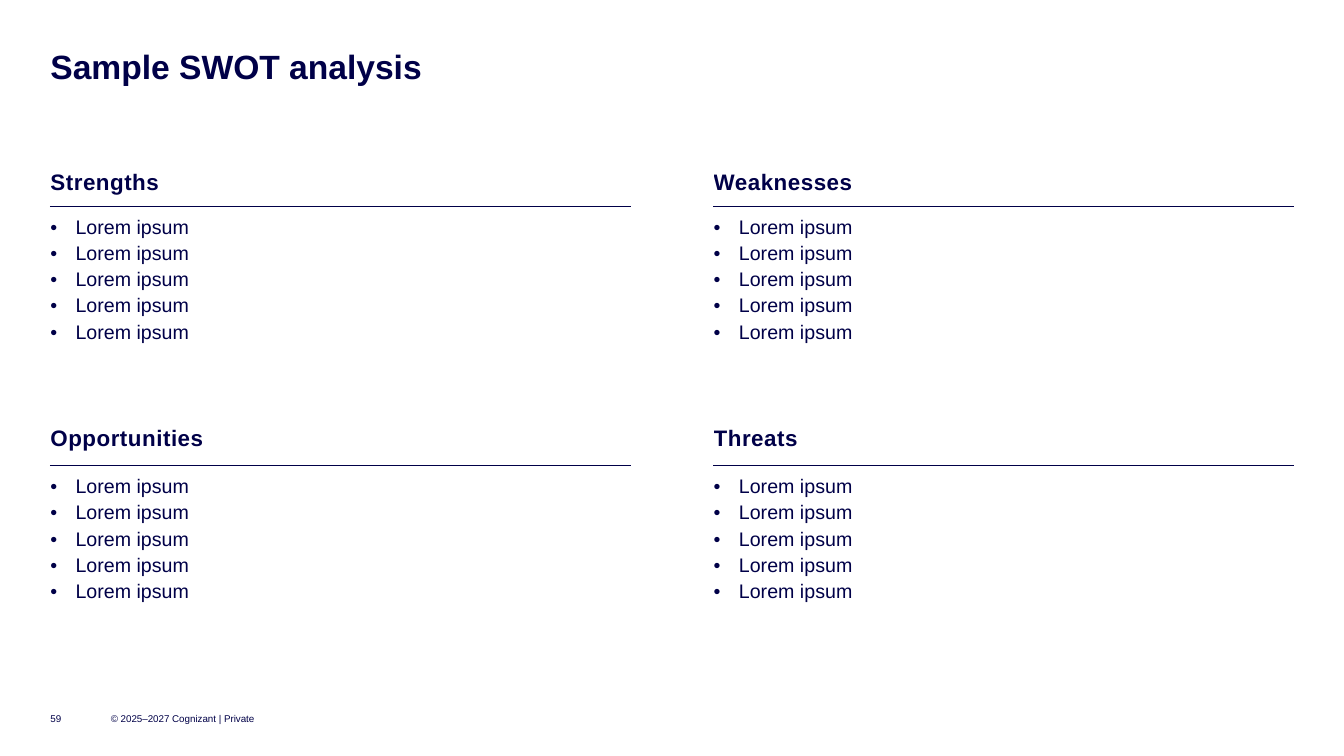
import pptx
import pptx.dml.color
import pptx.enum.text
import pptx.util
from dataclasses import dataclass
from lxml import etree

Pt = pptx.util.Pt
MIDDLE = pptx.enum.text.MSO_ANCHOR.MIDDLE
TOP = pptx.enum.text.MSO_ANCHOR.TOP
NAMESPACE = "{http://schemas.openxmlformats.org/drawingml/2006/main}"


@dataclass(frozen=True)
class Theme:
    font: str = "Arial"
    ink: str = "000048"
    title: int = 24
    heading: int = 16
    body: int = 14
    footer: int = 7


theme = Theme()


def write(para, text, size=theme.body, bold=False, tracking=0, bullet=False):
    """Add text to a paragraph; tracking is in points."""
    if bullet:
        para.level = 1
        para.space_after = Pt(3)
        properties = para._p.get_or_add_pPr()
        properties.set("marL", str(Pt(18)))
        properties.set("indent", str(Pt(-18)))
        etree.SubElement(properties, NAMESPACE + "buFont", typeface=theme.font)
        etree.SubElement(properties, NAMESPACE + "buChar", char="•")
    span = para.add_run()
    span.text = text
    span.font.name = theme.font
    span.font.size = Pt(size)
    span.font.bold = bold
    span.font.color.rgb = pptx.dml.color.RGBColor.from_string(theme.ink)
    if tracking:
        span._r.get_or_add_rPr().set("spc", str(round(tracking * 100)))


def add_rule(cell, side):
    """Draw a one-point border on a cell side: lnT or lnB."""
    line = etree.SubElement(cell._tc.get_or_add_tcPr(), NAMESPACE + side, w=str(Pt(1)))
    fill = etree.SubElement(line, NAMESPACE + "solidFill")
    etree.SubElement(fill, NAMESPACE + "srgbClr", val=theme.ink)


deck = pptx.Presentation()
deck.slide_width, deck.slide_height = Pt(960), Pt(540)
page = deck.slides.add_slide(deck.slide_layouts[6])

# Title and footer
for text, left, top, width, height, size, bold, anchor in [
    ("Sample SWOT analysis", 36, 36, 888, 26, theme.title, True, TOP),
    ("59", 36, 504, 28.8, 18, theme.footer, False, MIDDLE),
    ("© 2025–2027 Cognizant | Private", 79.2, 504, 108, 18, theme.footer, False, MIDDLE),
]:
    box = page.shapes.add_textbox(Pt(left), Pt(top), Pt(width), Pt(height))
    frame = box.text_frame
    frame.word_wrap = True
    frame.vertical_anchor = anchor
    frame.margin_left = frame.margin_right = frame.margin_top = frame.margin_bottom = 0
    para = frame.paragraphs[0]
    if size == theme.title:
        para.line_spacing = 0.9
    write(para, text, size=size, bold=bold)

# SWOT quadrants: two rows of two tables
items = ["Lorem ipsum"] * 5
column_lefts = (36, 509.8)
quadrant_rows = [
    (113.8, (33.1, 147.2), ("Strengths", "Weaknesses")),
    (294.5, (38.2, 142.6), ("Opportunities", "Threats")),
]
for top, row_heights, headings in quadrant_rows:
    for left, heading in zip(column_lefts, headings):
        table = page.shapes.add_table(
            2, 1, Pt(left), Pt(top), Pt(414), Pt(sum(row_heights))).table
        table.first_row = False
        table.horz_banding = False
        for row, height in zip(table.rows, row_heights):
            row.height = Pt(height)
        heading_cell, list_cell = table.cell(0, 0), table.cell(1, 0)
        for cell, side, anchor in ((heading_cell, "lnB", MIDDLE), (list_cell, "lnT", TOP)):
            cell.margin_left = 0
            cell.margin_right = cell.margin_top = cell.margin_bottom = Pt(7.2)
            cell.vertical_anchor = anchor
            add_rule(cell, side)
            cell.fill.background()
        write(heading_cell.text_frame.paragraphs[0], heading,
              size=theme.heading, bold=True, tracking=0.4)
        frame = list_cell.text_frame
        for index, item in enumerate(items):
            para = frame.add_paragraph() if index else frame.paragraphs[0]
            write(para, item, bullet=True)

deck.save("out.pptx")
